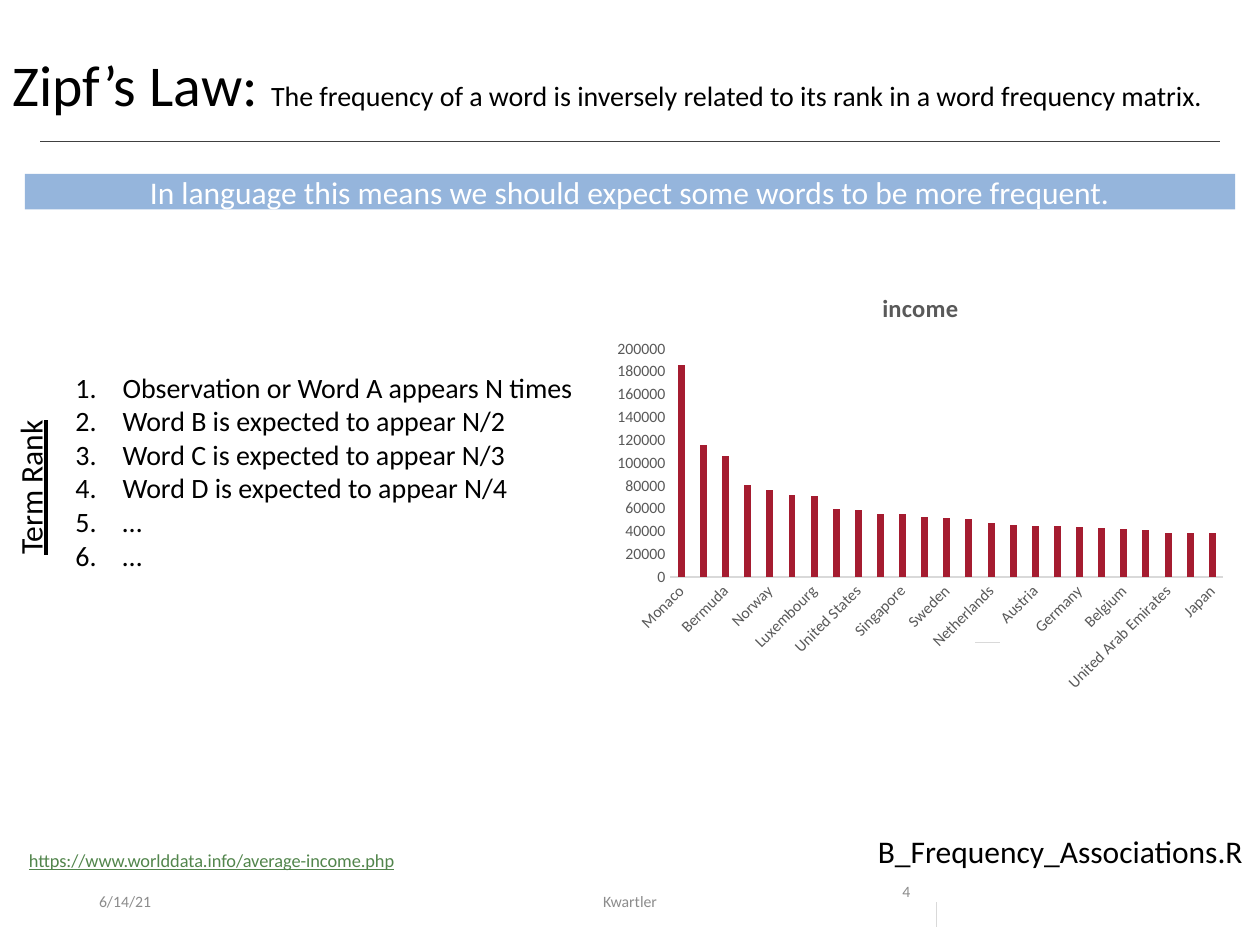
from lxml import etree
from pptx import Presentation
from pptx import util as u
from pptx.chart.data import CategoryChartData
from pptx.dml.color import RGBColor
from pptx.enum import chart as ch, shapes, text
from pptx.oxml.ns import qn

INCOMES = {
    "Monaco": 186000, "Liechtenstein": 116000, "Bermuda": 106000,
    "Switzerland": 81000, "Norway": 76000, "Macao": 72000,
    "Luxembourg": 71000, "Iceland": 60000, "United States": 59000,
    "Denmark": 55000, "Singapore": 55000, "Ireland": 53000,
    "Sweden": 52000, "Australia": 51000, "Netherlands": 47000,
    "Hong Kong": 46000, "Austria": 45000, "Finland": 45000,
    "Germany": 44000, "Canada": 43000, "Belgium": 42000,
    "United Kingdom": 41000, "United Arab Emirates": 39000,
    "New Zealand": 39000, "Japan": 39000,
}
RANKS = [
    "Observation or Word A appears N times",
    "Word B is expected to appear N/2",
    "Word C is expected to appear N/3",
    "Word D is expected to appear N/4",
    "…",
    "…",
]
CENTER = text.PP_ALIGN.CENTER
MIDDLE = text.MSO_ANCHOR.MIDDLE


def rgb(value):
    return RGBColor.from_string(value)


class Deck:
    font = "Calibri"
    black, gray, label, rule = "000000", "8C8C8C", "595959", "D9D9D9"
    crimson, band_blue, green, white = "A51C30", "95B5DC", "52854C", "FFFFFF"

    def __init__(self, width, height):
        self.prs = Presentation()
        self.prs.slide_width, self.prs.slide_height = u.Pt(width), u.Pt(height)
        self.s = self.prs.slides.add_slide(self.prs.slide_layouts[6])

    def style(self, font, size, color):
        font.name, font.size = self.font, u.Pt(size)
        font.color.rgb = rgb(color)

    def run(self, p, words, size, color, underline=None):
        r = p.add_run()
        r.text = words
        self.style(r.font, size, color)
        r.font.underline = underline

    def text(self, box, words, size, color=black, align=None,
             anchor=text.MSO_ANCHOR.TOP, wrap=True, underline=None):
        sp = self.s.shapes.add_textbox(*map(u.Pt, box))
        tf = sp.text_frame
        tf.word_wrap, tf.vertical_anchor = wrap, anchor
        p = tf.paragraphs[0]
        p.alignment = align
        if words:
            self.run(p, words, size, color, underline)
        return sp

    def title(self, box, runs):
        p = self.text(box, "", 0).text_frame.paragraphs[0]
        p.line_spacing = 0.9
        for words, size in runs:
            self.run(p, words, size, self.black)

    def numbered(self, box, items, size, indent):
        tf = self.text(box, "", 0).text_frame
        for i, item in enumerate(items):
            p = tf.add_paragraph() if i else tf.paragraphs[0]
            pPr = p._p.get_or_add_pPr()
            pPr.set("marL", str(u.Pt(indent)))
            pPr.set("indent", str(-u.Pt(indent)))
            etree.SubElement(pPr, qn("a:buAutoNum"), type="arabicPeriod")
            self.run(p, item, size, self.black)

    def band(self, box, words, size):
        sp = self.s.shapes.add_shape(shapes.MSO_SHAPE.RECTANGLE, *map(u.Pt, box))
        sp.shadow.inherit = False
        sp.fill.solid()
        sp.fill.fore_color.rgb = rgb(self.band_blue)
        sp.line.fill.background()
        sp.text_frame.vertical_anchor = MIDDLE
        p = sp.text_frame.paragraphs[0]
        p.alignment = CENTER
        self.run(p, words, size, self.white)

    def line(self, x1, y1, x2, y2, color=rule):
        c = self.s.shapes.add_connector(
            shapes.MSO_CONNECTOR.STRAIGHT, *map(u.Pt, (x1, y1, x2, y2)))
        c.line.color.rgb = rgb(color)
        c.line.width = u.Pt(0.5)
        etree.SubElement(c._element.spPr, qn("a:effectLst"))

    def columns(self, box, name, values):
        data = CategoryChartData()
        data.categories = list(values)
        data.add_series(name, list(values.values()))
        chart = self.s.shapes.add_chart(
            ch.XL_CHART_TYPE.COLUMN_CLUSTERED, *map(u.Pt, box), data).chart
        self.style(chart.font, 10, self.black)
        chart.has_legend = False
        chart.has_title = True
        self.run(chart.chart_title.text_frame.paragraphs[0], name, 14, self.label)
        chart.chart_title.include_in_layout = False
        plot = chart.plots[0]
        plot.vary_by_categories = False
        plot.gap_width, plot.overlap = 219, -27
        fill = plot.series[0].format.fill
        fill.solid()
        fill.fore_color.rgb = rgb(self.crimson)
        for axis in (chart.category_axis, chart.value_axis):
            axis.has_major_gridlines = False
            axis.major_tick_mark = axis.minor_tick_mark = ch.XL_TICK_MARK.NONE
            self.style(axis.tick_labels.font, 9, self.label)
        chart.value_axis.format.line.fill.background()
        chart.value_axis.maximum_scale = 200000
        chart.value_axis.major_unit = 20000
        axis_line = chart.category_axis.format.line
        axis_line.color.rgb = rgb(self.rule)
        axis_line.width = u.Pt(0.75)
        body = chart.category_axis._element.find(qn("c:txPr")).find(qn("a:bodyPr"))
        body.set("rot", "-2700000")
        body.set("vert", "horz")


def main():
    d = Deck(720, 540)
    d.line(23, 80.64, 697, 80.64, "404040")
    d.text((49.5, 500.5, 162, 28.75), "6/14/21", 9, d.gray, anchor=MIDDLE)
    d.title((0, 28.8, 720, 46.8), [
        ("Zipf’s Law: ", 33),
        ("The frequency of a word is inversely related to its rank "
         "in a word frequency matrix.", 16),
    ])
    d.text((508.5, 500.5, 67.5, 28.75), "4", 9, d.gray)
    d.text((238.5, 500.5, 243, 28.75), "Kwartler", 9, d.gray, CENTER, MIDDLE)
    d.band((14.2, 99.4, 691.6, 20.2),
           "In language this means we should expect some words to be more frequent.", 18)
    d.numbered((36, 208, 314.64, 124), RANKS, 16, 27)
    rank = d.text((-28.8, 263.5, 92.2, 29), "Term Rank", 18, wrap=False, underline=True)
    rank.rotation = 270
    d.text((9.4, 481.7, 229, 20), "https://www.worlddata.info/average-income.php",
           10.5, d.green, wrap=False, underline=True)
    d.columns((345.6, 154.8, 360.7, 245.5), "income", INCOMES)
    d.line(535, 515.5, 535, 530)
    d.line(557.3, 367.2, 571.7, 367.2)
    d.text((494.6, 471.6, 225.4, 29), "B_Frequency_Associations.R", 18, wrap=False)
    d.prs.save("out.pptx")


if __name__ == "__main__":
    main()
